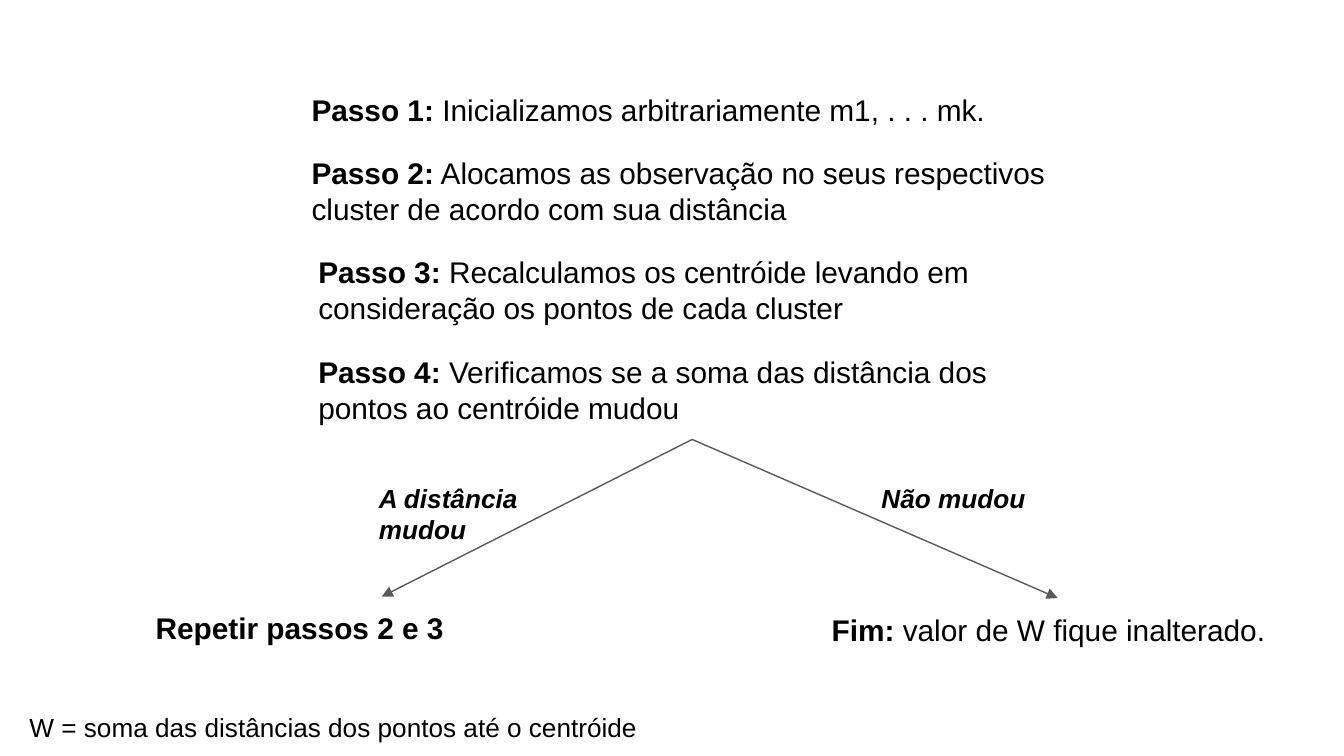
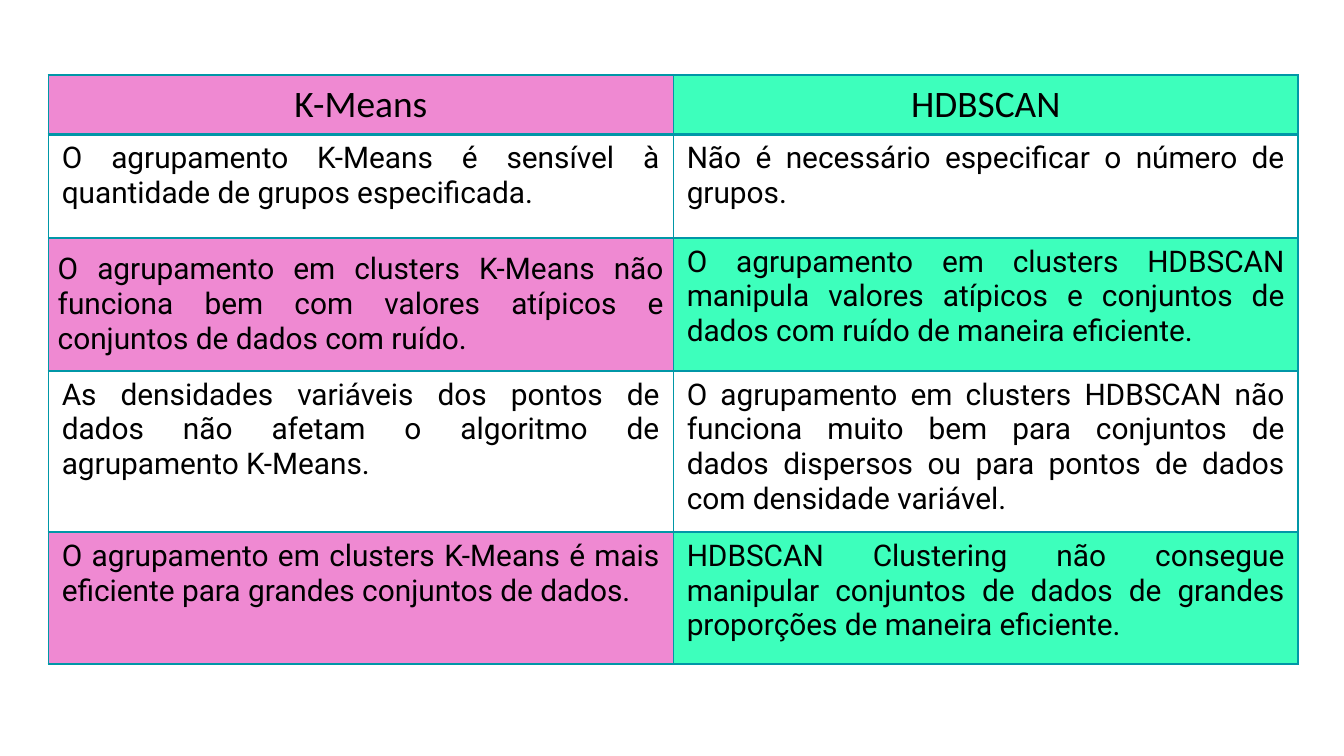
from lxml import etree
from pptx import Presentation
from pptx.dml.color import RGBColor
from pptx.enum.shapes import MSO_CONNECTOR
from pptx.enum.text import MSO_ANCHOR, PP_ALIGN
from pptx.oxml.ns import qn
from pptx.util import Inches, Pt

STRAIGHT = MSO_CONNECTOR.STRAIGHT
TOP, MIDDLE = MSO_ANCHOR.TOP, MSO_ANCHOR.MIDDLE
LEFT, CENTER, JUSTIFY = PP_ALIGN.LEFT, PP_ALIGN.CENTER, PP_ALIGN.JUSTIFY

BLACK, WHITE, GRAY = "000000", "FFFFFF", "595959"
PINK, GREEN, TEAL = "EF89D2", "3DFFBC", "0097A7"

STEPS = [
    (22.2, 5.8, 4.7, "Passo 1:", " Inicializamos arbitrariamente m1, . . . mk."),
    (22.2, 10.5, 7.4, "Passo 2:",
     " Alocamos as observação no seus respectivos cluster de acordo com sua distância"),
    (22.7, 17.9, 7.4, "Passo 3:",
     " Recalculamos os centróide levando em consideração os pontos de cada cluster"),
    (22.7, 25.3, 7.4, "Passo 4:",
     " Verificamos se a soma das distância dos pontos ao centróide mudou"),
]

COMPARISON = [
    ("K-Means", "HDBSCAN"),
    ("O agrupamento K-Means é sensível à quantidade de grupos especificada.",
     "Não é necessário especificar o número de grupos."),
    ("O agrupamento em clusters K-Means não funciona bem com valores atípicos "
     "e conjuntos de dados com ruído.",
     "O agrupamento em clusters HDBSCAN manipula valores atípicos e conjuntos "
     "de dados com ruído de maneira eficiente."),
    ("As densidades variáveis dos pontos de dados não afetam o algoritmo de "
     "agrupamento K-Means.",
     "O agrupamento em clusters HDBSCAN não funciona muito bem para conjuntos de "
     "dados dispersos ou para pontos de dados com densidade variável."),
    ("O agrupamento em clusters K-Means é mais eficiente para grandes conjuntos de dados.",
     "HDBSCAN Clustering não consegue manipular conjuntos de dados de grandes "
     "proporções de maneira eficiente."),
]
ROW_HEIGHTS = [4.4, 7.7, 9.9, 12, 9.8]


def color(code):
    """Turn a hex string into a colour."""
    return RGBColor.from_string(code)


def add_span(para, text, size=16, font="Arial", bold=False, italic=False, ink=BLACK, align=LEFT):
    """Add a formatted span of text to a paragraph."""
    para.alignment = align
    span = para.add_run()
    span.text = text
    span.font.size, span.font.name = Pt(size), font
    span.font.bold, span.font.italic = bold, italic
    span.font.color.rgb = color(ink)


def add_border(cell, side, code, width):
    """Draw one border of a table cell."""
    line = etree.SubElement(cell._tc.get_or_add_tcPr(), qn(f"a:ln{side}"), w=str(Pt(width)))
    fill = etree.SubElement(line, qn("a:solidFill"))
    etree.SubElement(fill, qn("a:srgbClr"), val=code)


class Slides:
    """Hold the deck, the current page and a grid of tenths of an inch."""

    def __init__(self, columns=100, rows=56.25):
        """Start a deck with the size of the grid."""
        self.deck = Presentation()
        self.deck.slide_width = self.unit(columns)
        self.deck.slide_height = self.unit(rows)

    def unit(self, count):
        """Convert grid units to a length."""
        return Inches(count / 10)

    def new_page(self):
        """Add a blank page and make it current."""
        self.page = self.deck.slides.add_slide(self.deck.slide_layouts[6])

    def text(self, left, top, width, height, *paragraphs, **style):
        """Add a text box whose paragraphs are pairs of bold lead and plain rest."""
        box = self.page.shapes.add_textbox(*map(self.unit, (left, top, width, height)))
        frame = box.text_frame
        frame.word_wrap = True
        frame.margin_left = frame.margin_right = self.unit(1)
        frame.margin_top = frame.margin_bottom = self.unit(1)
        for index, (lead, rest) in enumerate(paragraphs):
            para = frame.add_paragraph() if index else frame.paragraphs[0]
            if lead:
                add_span(para, lead, bold=True, **style)
            if rest:
                add_span(para, rest, **style)

    def arrow(self, start, end):
        """Draw a thin arrow between two grid points."""
        arrow = self.page.shapes.add_connector(STRAIGHT, *map(self.unit, (*start, *end)))
        arrow.line.color.rgb = color(GRAY)
        arrow.line.width = Pt(0.75)
        etree.SubElement(arrow.line._get_or_add_ln(), qn("a:tailEnd"), type="triangle")
        etree.SubElement(arrow._element.spPr, qn("a:effectLst"))

    def cell(self, cell, text, fill, header=False, centered=False):
        """Fill, border and write one table cell."""
        side, edge = (0.7, 1) if centered else (1, 0.5)
        cell.margin_left = cell.margin_right = self.unit(side)
        cell.margin_top = cell.margin_bottom = self.unit(edge)
        cell.vertical_anchor = MIDDLE if centered else TOP
        for border in "LRTB":
            add_border(cell, border, TEAL, 2 if header and border == "B" else 1)
        cell.fill.solid()
        cell.fill.fore_color.rgb = color(fill)
        style = (dict(size=20, font="Calibri", align=CENTER) if header
                 else dict(font="Roboto", align=JUSTIFY))
        add_span(cell.text_frame.paragraphs[0], text, **style)

    def table(self, left, top, column_width, heights, content, fills):
        """Add a table with a header and coloured even rows."""
        size = (column_width * len(fills), sum(heights))
        table = self.page.shapes.add_table(
            len(content), len(fills), *map(self.unit, (left, top, *size))).table
        table.horz_banding = False
        for column in table.columns:
            column.width = self.unit(column_width)
        for row, (height, texts) in enumerate(zip(heights, content)):
            table.rows[row].height = self.unit(height)
            for column, text in enumerate(texts):
                fill = WHITE if row % 2 else fills[column]
                self.cell(table.cell(row, column), text, fill,
                          header=row == 0, centered=(row, column) == (2, 0))


def main():
    """Build both pages and save the deck."""
    slides = Slides()

    slides.new_page()
    slides.text(10.6, 44.4, 35.6, 4.7, ("Repetir passos 2 e 3", ""))
    slides.text(60.9, 44.5, 35.6, 7.4, ("Fim:", " valor de W fique inalterado."))
    slides.text(1.2, 51.9, 59.8, 4.4,
                ("", "W = soma das distâncias dos pontos até o centróide"), size=14)
    for left, top, height, lead, rest in STEPS:
        slides.text(left, top, 57.6, height, (lead, rest))
    fork = (51.5, 32.7)
    for end in ((78.7, 44.5), (28.4, 44.4)):
        slides.arrow(fork, end)
    slides.text(64.6, 34.9, 16.9, 4.4, ("Não mudou", ""), size=14, italic=True)
    slides.text(27.2, 34.9, 27.5, 6.7, ("A distância", ""), ("mudou", ""), size=14, italic=True)

    slides.new_page()
    slides.table(3.6, 5.6, 46.5, ROW_HEIGHTS, COMPARISON, (PINK, GREEN))

    slides.deck.save("out.pptx")


if __name__ == "__main__":
    main()
